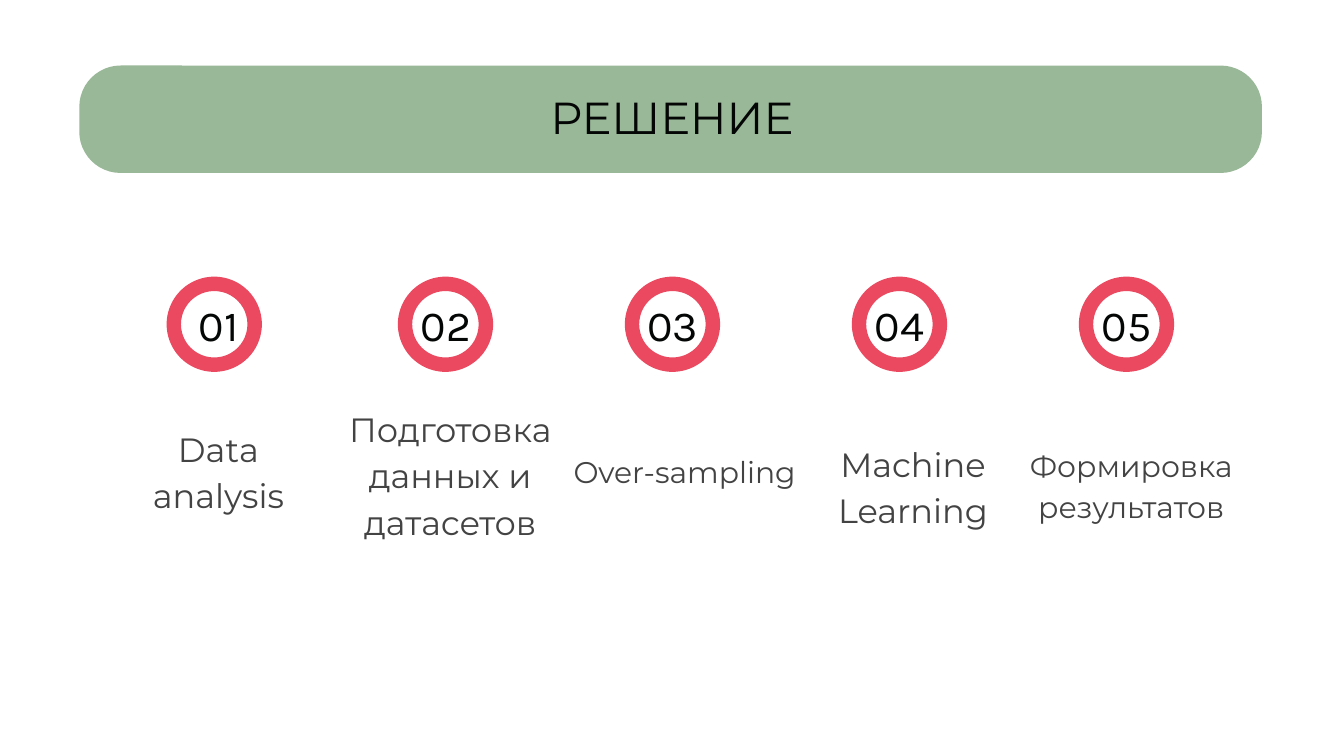
from dataclasses import dataclass

from pptx import Presentation
from pptx.dml.color import RGBColor
from pptx.enum.shapes import MSO_SHAPE
from pptx.enum.text import MSO_ANCHOR, MSO_AUTO_SIZE, PP_ALIGN
from pptx.util import Cm, Pt

ROUNDED, DONUT = MSO_SHAPE.ROUNDED_RECTANGLE, MSO_SHAPE.DONUT
MIDDLE, NO_FIT = MSO_ANCHOR.MIDDLE, MSO_AUTO_SIZE.NONE
LEFT, CENTER = PP_ALIGN.LEFT, PP_ALIGN.CENTER

COLORS = {"banner": "99B898", "ring": "EA4960", "ink": "040505", "label": "434343"}
COLUMN_LEFT, COLUMN_TOP, COLUMN_PITCH = 2.01, 5.23, 4.29


@dataclass
class Step:
    """One step: its label, the label's box and type, and the ring's offset."""
    label: str
    top: float
    width: float
    height: float = 2.03
    size: int = 18
    align: PP_ALIGN = CENTER
    ring_left: float = 1.22


STEPS = [
    Step("Data analysis", 2.62, 4.24, ring_left=1.14),
    Step("Подготовка данных и датасетов", 2.47, 4.42, height=2.46),
    Step("Over-sampling", 2.62, 4.75, size=16, align=LEFT),
    Step("Machine Learning", 2.9, 4.75),
    Step("Формировка результатов", 2.9, 4.42, size=16),
]


def add_filled(s, kind, box, adjustment, color):
    """Add a preset shape without outline or shadow."""
    sp = s.shapes.add_shape(kind, *map(Cm, box))
    sp.adjustments[0] = adjustment
    sp.fill.solid()
    sp.fill.fore_color.rgb = RGBColor.from_string(COLORS[color])
    sp.line.fill.background()
    sp.shadow.inherit = False
    return sp


def write(sp, text, font, size, color, inset, align=CENTER):
    """Write one vertically centred paragraph and return it."""
    tf = sp.text_frame
    tf.word_wrap = True
    tf.auto_size = NO_FIT
    tf.vertical_anchor = MIDDLE
    tf.margin_left = tf.margin_right = tf.margin_top = tf.margin_bottom = Cm(inset)
    p = tf.paragraphs[0]
    p.text = text
    p.alignment = align
    p.font.name = font
    p.font.size = Pt(size)
    p.font.color.rgb = RGBColor.from_string(COLORS[color])
    return p


def add_header(s, left, top, width, height):
    """Place the title over a rounded banner that fills the box."""
    banner = add_filled(s, ROUNDED, (left, top, width, height), 0.384, "banner")
    title = s.shapes.title
    title.element.addprevious(banner.element)
    title.left, title.top = Cm(left + 0.48), Cm(top + 0.46)
    title.width, title.height = Cm(width - 0.92), Cm(1.19)
    p = write(title, "РЕШЕНИЕ", "Montserrat", 24, "ink", 0)
    p.line_spacing = 0.8


def add_step(s, left, top, number, step):
    """Place a ringed number with its label below."""
    add_filled(s, DONUT, (left + step.ring_left, top, 1.8, 1.8), 0.151, "ring")
    box = s.shapes.add_textbox(Cm(left + 1.35), Cm(top + 0.28), Cm(1.55), Cm(1.24))
    write(box, f"{number:02}", "Karla", 23, "ink", 0.25)
    label = s.shapes.add_textbox(Cm(left), Cm(top + step.top),
                                 Cm(step.width), Cm(step.height))
    p = write(label, step.label, "Montserrat", step.size, "label", 0.25, step.align)
    p.line_spacing = 1.15
    p.space_after = Pt(16)


def main():
    """Build the slide and save it."""
    prs = Presentation()
    prs.slide_width, prs.slide_height = Cm(25.4), Cm(14.29)
    s = prs.slides.add_slide(prs.slide_layouts[5])
    add_header(s, 1.5, 1.24, 22.35, 2.03)
    for i, step in enumerate(STEPS):
        add_step(s, COLUMN_LEFT + i * COLUMN_PITCH, COLUMN_TOP, i + 1, step)
    prs.save("out.pptx")


if __name__ == "__main__":
    main()
